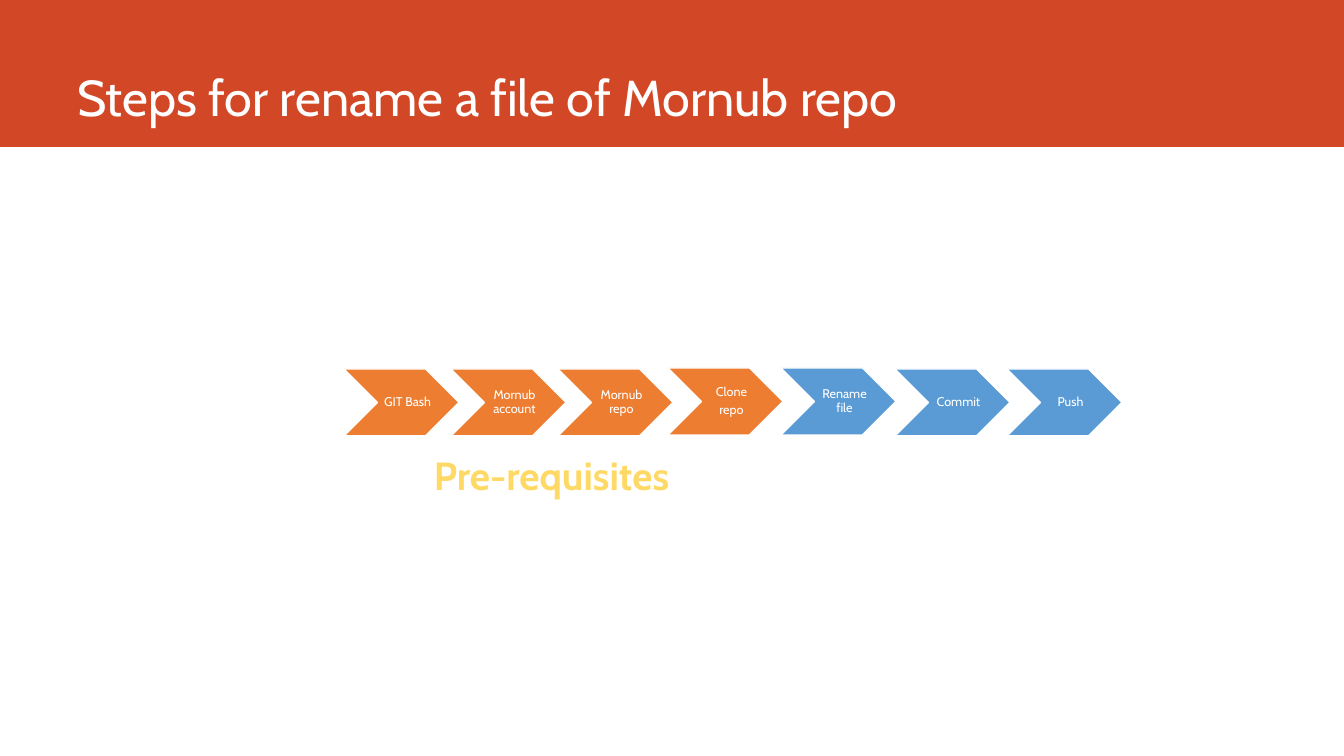
from pptx import Presentation
from pptx.dml.color import RGBColor
from pptx.enum.shapes import MSO_SHAPE as SHAPE
from pptx.enum.text import MSO_ANCHOR as ANCHOR, MSO_AUTO_SIZE as AUTO, PP_ALIGN as ALIGN
from pptx.util import Emu, Pt

TITLE = "Steps for rename a file of Mornub repo"
CAPTION = "Pre-requisites"
ORANGE, BLUE, WHITE = "ED7D31", "5B9BD5", "FFFFFF"
STEPS = [
    (344, 369, ORANGE, ["GIT Bash"]),
    (451, 369, ORANGE, ["Mornub account"]),
    (558, 369, ORANGE, ["Mornub repo"]),
    (668, 368, ORANGE, ["Clone", "repo"]),
    (781, 368, BLUE, ["Rename file"]),
    (895, 369, BLUE, ["Commit"]),
    (1007, 369, BLUE, ["Push"]),
]
STEP_W, STEP_H = 115, 67
LABEL_DX, LABEL_W = 4, 100


def px(n):
    return Emu(round(n * 914400 / 100.8))


def box(x, y, w, h):
    return px(x), px(y), px(w), px(h)


def rgb(color):
    return RGBColor.from_string(color)


def add_shape(kind, bounds, fill, line=None):
    sp = s.shapes.add_shape(kind, *bounds)
    sp.shadow.inherit = False
    sp.fill.solid()
    sp.fill.fore_color.rgb = rgb(fill)
    if line:
        sp.line.color.rgb = rgb(line)
        sp.line.width = Pt(1)
    else:
        sp.line.fill.background()
    return sp


def write(tf, lines, size, color, align, bold=False, spacing=None, after=0):
    tf.word_wrap = True
    for i, text in enumerate(lines):
        p = tf.paragraphs[0] if i == 0 else tf.add_paragraph()
        p.text = text
        p.alignment = align
        p.line_spacing = spacing
        p.space_after = Pt(after)
        p.font.name = "Cabin"
        p.font.size = Pt(size)
        p.font.bold = bold
        p.font.color.rgb = rgb(color)


prs = Presentation()
prs.slide_width, prs.slide_height = px(1344), px(756)
s = prs.slides.add_slide(prs.slide_layouts[5])

band = add_shape(SHAPE.RECTANGLE, box(0, 0, 1344, 147), "D24726")
title = s.shapes.title
band._element.addnext(title._element)
title.left, title.top, title.width, title.height = box(67, 0, 1185, 133)
tf = title.text_frame
tf.auto_size = AUTO.NONE
tf.vertical_anchor = ANCHOR.BOTTOM
write(tf, [TITLE], 36, WHITE, ALIGN.LEFT, spacing=0.9)

for x, y, color, lines in STEPS:
    add_shape(SHAPE.CHEVRON, box(x, y, STEP_W, STEP_H), color, WHITE)
    tf = s.shapes.add_textbox(*box(x + LABEL_DX, y, LABEL_W, STEP_H)).text_frame
    tf.vertical_anchor = ANCHOR.MIDDLE
    tf.margin_left = px(28)
    tf.margin_top = tf.margin_right = tf.margin_bottom = px(9)
    write(tf, lines, 9, WHITE, ALIGN.CENTER, spacing=0.9, after=3.15)

tf = s.shapes.add_textbox(*box(344, 446, 415, 57)).text_frame
write(tf, [CAPTION], 28, "FFD966", ALIGN.CENTER, bold=True)

prs.save("out.pptx")
